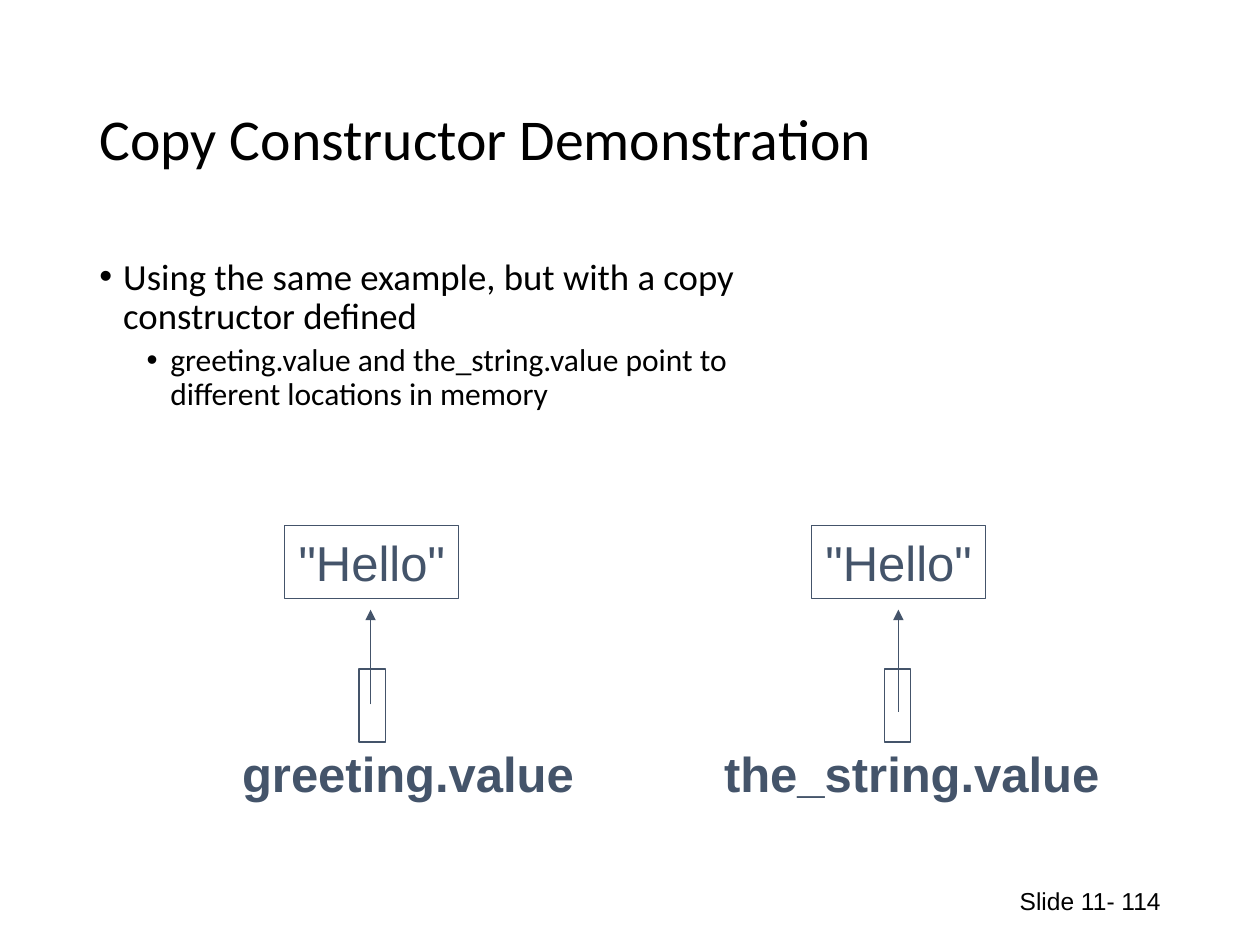
import lxml.etree
import pptx
import pptx.dml.color
import pptx.enum.shapes
import pptx.enum.text
import pptx.oxml.ns
import pptx.util

Cm = pptx.util.Cm
Pt = pptx.util.Pt
ALIGN = pptx.enum.text.PP_ALIGN
ANCHOR = pptx.enum.text.MSO_ANCHOR
BLACK = "000000"
SLATE = "44546A"


def color(hex_string):
    """Return the colour for a hex string."""
    return pptx.dml.color.RGBColor.from_string(hex_string)


def add_child(parent, tag, **attributes):
    """Append a DrawingML element to a parent element."""
    return lxml.etree.SubElement(parent, pptx.oxml.ns.qn(tag), attributes)


def place(shape, left, top, width, height):
    """Set the position and size of a shape in centimetres."""
    shape.left, shape.top = Cm(left), Cm(top)
    shape.width, shape.height = Cm(width), Cm(height)


def add_run(paragraph, text, font_name, size, hex_string, bold=False):
    """Add one formatted run to a paragraph."""
    run = paragraph.add_run()
    run.text = text
    run.font.name = font_name
    run.font.size = Pt(size)
    run.font.bold = bold
    run.font.color.rgb = color(hex_string)


def set_line_text(shape, text, alignment, size, hex_string, bold=False, wrap=False):
    """Write a single Arial line into a shape, centred vertically."""
    frame = shape.text_frame
    frame.word_wrap = wrap
    frame.vertical_anchor = ANCHOR.MIDDLE
    paragraph = frame.paragraphs[0]
    paragraph.alignment = alignment
    add_run(paragraph, text, "Arial", size, hex_string, bold)


def fill_title(slide, text):
    """Format the title placeholder and write the title."""
    title = slide.shapes.title
    place(title, 1.75, 1.02, 21.9, 3.68)
    frame = title.text_frame
    frame.auto_size = pptx.enum.text.MSO_AUTO_SIZE.NONE
    frame.vertical_anchor = ANCHOR.MIDDLE
    paragraph = frame.paragraphs[0]
    paragraph.alignment = ALIGN.LEFT
    paragraph.line_spacing = 0.9
    add_run(paragraph, text, "Calibri", 33, BLACK)


def fill_body(slide, items):
    """Write bulleted items given as level, size, space before and lines."""
    body = slide.placeholders[1]
    place(body, 1.75, 5.08, 21.9, 4.17)
    frame = body.text_frame
    frame.auto_size = pptx.enum.text.MSO_AUTO_SIZE.NONE
    for index, (level, size, space, lines) in enumerate(items):
        paragraph = frame.add_paragraph() if index else frame.paragraphs[0]
        paragraph.level = level
        properties = paragraph._p.get_or_add_pPr()
        properties.set("marL", str(Cm(0.48 + 0.95 * level)))
        properties.set("indent", str(-Cm(0.48)))
        add_child(properties, "a:buFont", typeface="Arial")
        add_child(properties, "a:buChar", char="•")
        paragraph.line_spacing = 0.9
        paragraph.space_before = Pt(space)
        for number, line in enumerate(lines):
            if number:
                paragraph.add_line_break()
            add_run(paragraph, line, "Calibri", size, BLACK)


def add_label(slide, text, left, top, width, height, **style):
    """Add a text box holding one line."""
    box = slide.shapes.add_textbox(Cm(left), Cm(top), Cm(width), Cm(height))
    set_line_text(box, text, **style)


def add_box(slide, left, top, width, height):
    """Add an unfilled outlined rectangle."""
    box = slide.shapes.add_shape(
        pptx.enum.shapes.MSO_SHAPE.RECTANGLE, Cm(left), Cm(top), Cm(width), Cm(height)
    )
    box.shadow.inherit = False
    box.fill.background()
    box.line.color.rgb = color(SLATE)
    box.line.width = Pt(0.75)
    return box


def add_arrow(slide, x, start, end):
    """Add a vertical arrow pointing at its end."""
    arrow = slide.shapes.add_connector(
        pptx.enum.shapes.MSO_CONNECTOR.STRAIGHT, Cm(x), Cm(start), Cm(x), Cm(end)
    )
    arrow.line.color.rgb = color(SLATE)
    arrow.line.width = Pt(0.75)
    add_child(arrow.line._get_or_add_ln(), "a:tailEnd", type="triangle")
    add_child(arrow._element.spPr, "a:effectLst")


def add_pointer(slide, name, name_left, name_width, cell_left, value_left, arrow_x, arrow_start):
    """Add a named pointer cell with an arrow to its string value."""
    add_label(slide, name, name_left, 14.86, name_width, 1.45,
              alignment=ALIGN.CENTER, size=28, hex_string=SLATE, bold=True)
    add_box(slide, cell_left, 13.49, 0.53, 1.47)
    value = add_box(slide, value_left, 10.59, 3.51, 1.47)
    set_line_text(value, '"Hello"', ALIGN.CENTER, 28, SLATE)
    add_arrow(slide, arrow_x, arrow_start, 12.29)


def main():
    """Build and save the slide."""
    presentation = pptx.Presentation()
    presentation.slide_width, presentation.slide_height = Cm(25.4), Cm(19.05)
    slide = presentation.slides.add_slide(presentation.slide_layouts[1])
    fill_title(slide, "Copy Constructor Demonstration")
    fill_body(slide, [
        (0, 21, 0, ["Using the same example, but with a copy", "constructor defined"]),
        (1, 18, 3.8, ["greeting.value and the_string.value point to ",
                      "different locations in memory"]),
    ])
    add_pointer(slide, "greeting.value", 4.62, 7.21, 7.24, 5.74, 7.47, 14.2)
    add_pointer(slide, "the_string.value", 14.33, 8.1, 17.83, 16.36, 18.11, 14.35)
    add_label(slide, "Slide 11- 114", 17.93, 17.65, 5.72, 1.02,
              alignment=ALIGN.RIGHT, size=14, hex_string=BLACK, wrap=True)
    presentation.save("out.pptx")


if __name__ == "__main__":
    main()
